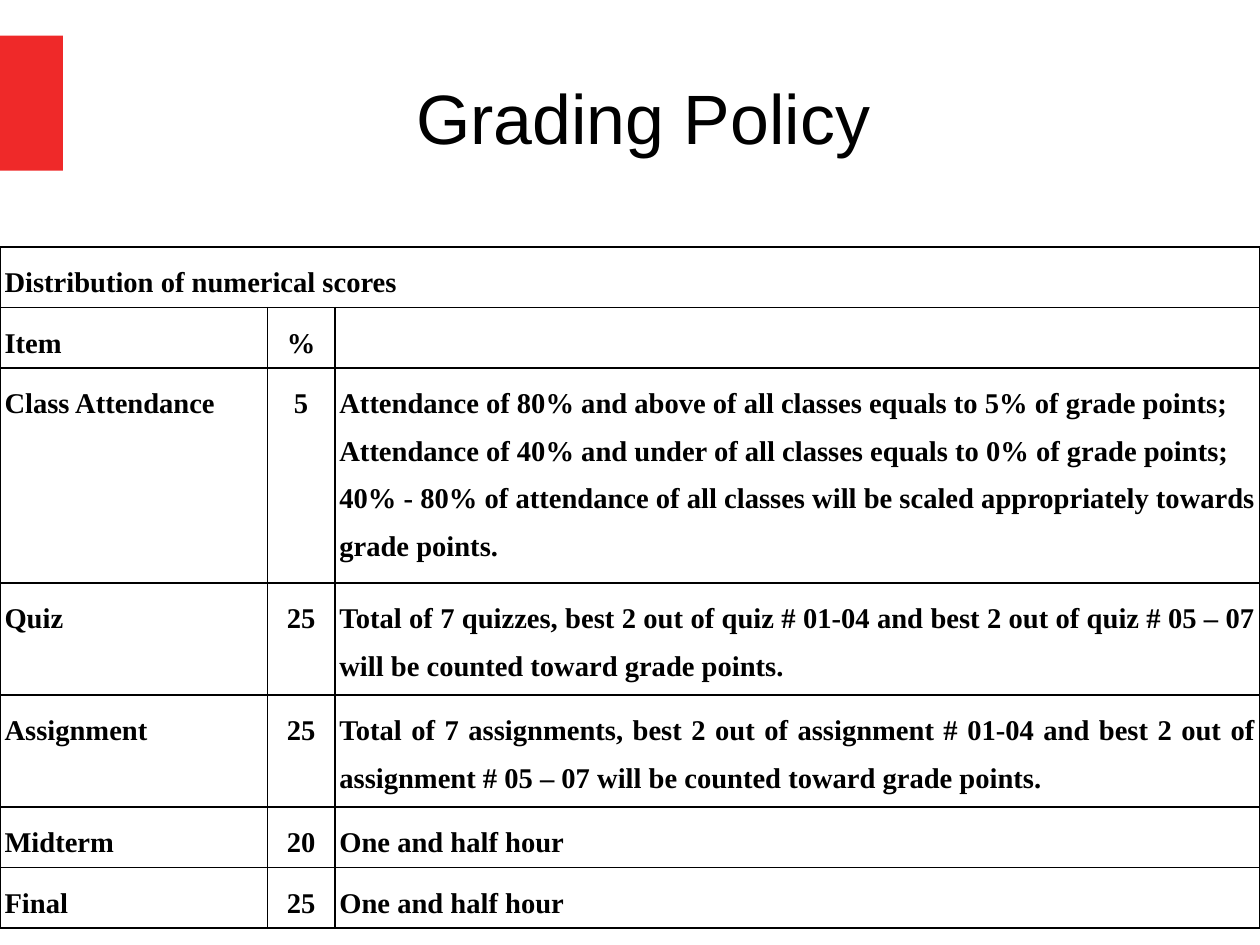
"""Build the Grading Policy slide with its score distribution table."""
from lxml import etree
from pptx import Presentation
from pptx.dml.color import RGBColor
from pptx.enum.shapes import MSO_SHAPE
from pptx.enum.text import MSO_ANCHOR, PP_ALIGN
from pptx.oxml.ns import qn
from pptx.util import Pt

RECTANGLE = MSO_SHAPE.RECTANGLE
TOP, MIDDLE = MSO_ANCHOR.TOP, MSO_ANCHOR.MIDDLE
CENTER, JUSTIFY = PP_ALIGN.CENTER, PP_ALIGN.JUSTIFY

TITLE = "Grading Policy"
HEADING = "Distribution of numerical scores"
HEADER = ("Item", "%", "")
GRADES = [
    ("Class Attendance", "5",
     "Attendance of 80% and above of all classes equals to 5% of grade points;\n"
     "Attendance of 40% and under of all classes equals to 0% of grade points;\n"
     "40% - 80% of attendance of all classes will be scaled appropriately towards grade points."),
    ("Quiz", "25",
     "Total of 7 quizzes, best 2 out of quiz # 01-04 and best 2 out of quiz # 05 – 07 "
     "will be counted toward grade points."),
    ("Assignment", "25",
     "Total of 7 assignments, best 2 out of assignment # 01-04 and best 2 out of "
     "assignment # 05 – 07 will be counted toward grade points."),
    ("Midterm", "20", "One and half hour"),
    ("Final", "25", "One and half hour"),
]

THEME = {
    "ink": RGBColor(0, 0, 0), "accent": RGBColor(0xEF, 0x29, 0x29),
    "title_font": "Arial", "title_size": 44,
    "table_font": "Times New Roman", "table_size": 18,
    "border": 1, "inset": 2.88, "leading": 1.5,
}
SLIDE_WIDTH, SLIDE_HEIGHT = 793.7, 595.28
ACCENT_BOX = (0, 22.5, 39.6, 85)
TITLE_BOX = (56.88, 46.8, 696.96, 53.28)
TABLE_TOP, TABLE_HEIGHT = 155.5, 400.32
ITEM_WIDTH, PERCENT_WIDTH = 168.48, 42.48
COLUMN_WIDTHS = (ITEM_WIDTH, PERCENT_WIDTH, SLIDE_WIDTH - ITEM_WIDTH - PERCENT_WIDTH)
SINGLE, DOUBLE, ATTENDANCE = 33.12, 65.52, 129.6
ROW_HEIGHTS = (SINGLE, SINGLE, ATTENDANCE, DOUBLE, DOUBLE, SINGLE, SINGLE)


def points(values):
    return [Pt(value) for value in values]


def write(frame, text, *, font, size, bold=False, align=CENTER, leading=1.0):
    for index, line in enumerate(text.split("\n")):
        paragraph = frame.add_paragraph() if index else frame.paragraphs[0]
        paragraph.alignment = align
        paragraph.line_spacing = leading
        run = paragraph.add_run()
        run.text = line
        run.font.name, run.font.size, run.font.bold = font, Pt(size), bold
        run.font.color.rgb = THEME["ink"]


def add_borders(cell):
    properties = cell._tc.get_or_add_tcPr()
    for index, side in enumerate(("lnL", "lnR", "lnT", "lnB")):
        border = etree.Element(qn(f"a:{side}"), w=str(Pt(THEME["border"])))
        fill = etree.SubElement(border, qn("a:solidFill"))
        etree.SubElement(fill, qn("a:srgbClr"), val=str(THEME["ink"]))
        properties.insert(index, border)


def add_accent(slide):
    accent = slide.shapes.add_shape(RECTANGLE, *points(ACCENT_BOX))
    accent.shadow.inherit = False
    accent.fill.solid()
    accent.fill.fore_color.rgb = THEME["accent"]
    accent.line.fill.background()


def add_title(slide):
    frame = slide.shapes.add_textbox(*points(TITLE_BOX)).text_frame
    frame.word_wrap = True
    frame.vertical_anchor = MIDDLE
    frame.margin_left = frame.margin_right = frame.margin_top = frame.margin_bottom = 0
    write(frame, TITLE, font=THEME["title_font"], size=THEME["title_size"])


def add_grades(slide):
    rows = [(HEADING, "", ""), HEADER, *GRADES]
    box = points((0, TABLE_TOP, SLIDE_WIDTH, TABLE_HEIGHT))
    holder = slide.shapes.add_table(len(rows), len(HEADER), *box)
    table = holder.table
    table.first_row = table.horz_banding = False
    for column, width in zip(table.columns, COLUMN_WIDTHS):
        column.width = Pt(width)
    for row, height in zip(table.rows, ROW_HEIGHTS):
        row.height = Pt(height)
    holder.height = Pt(TABLE_HEIGHT)
    table.cell(0, 0).merge(table.cell(0, len(HEADER) - 1))
    for row, texts in zip(table.rows, rows):
        for column, (cell, text) in enumerate(zip(row.cells, texts)):
            cell.fill.background()
            cell.vertical_anchor = TOP
            cell.margin_left = cell.margin_right = Pt(THEME["inset"])
            cell.margin_top = cell.margin_bottom = Pt(THEME["inset"])
            add_borders(cell)
            if text:
                write(cell.text_frame, text, font=THEME["table_font"],
                      size=THEME["table_size"], bold=True, leading=THEME["leading"],
                      align=CENTER if column == 1 else JUSTIFY)


def main():
    deck = Presentation()
    deck.slide_width = Pt(SLIDE_WIDTH)
    deck.slide_height = Pt(SLIDE_HEIGHT)
    slide = deck.slides.add_slide(deck.slide_layouts[6])
    add_accent(slide)
    add_title(slide)
    add_grades(slide)
    deck.save("out.pptx")


if __name__ == "__main__":
    main()
